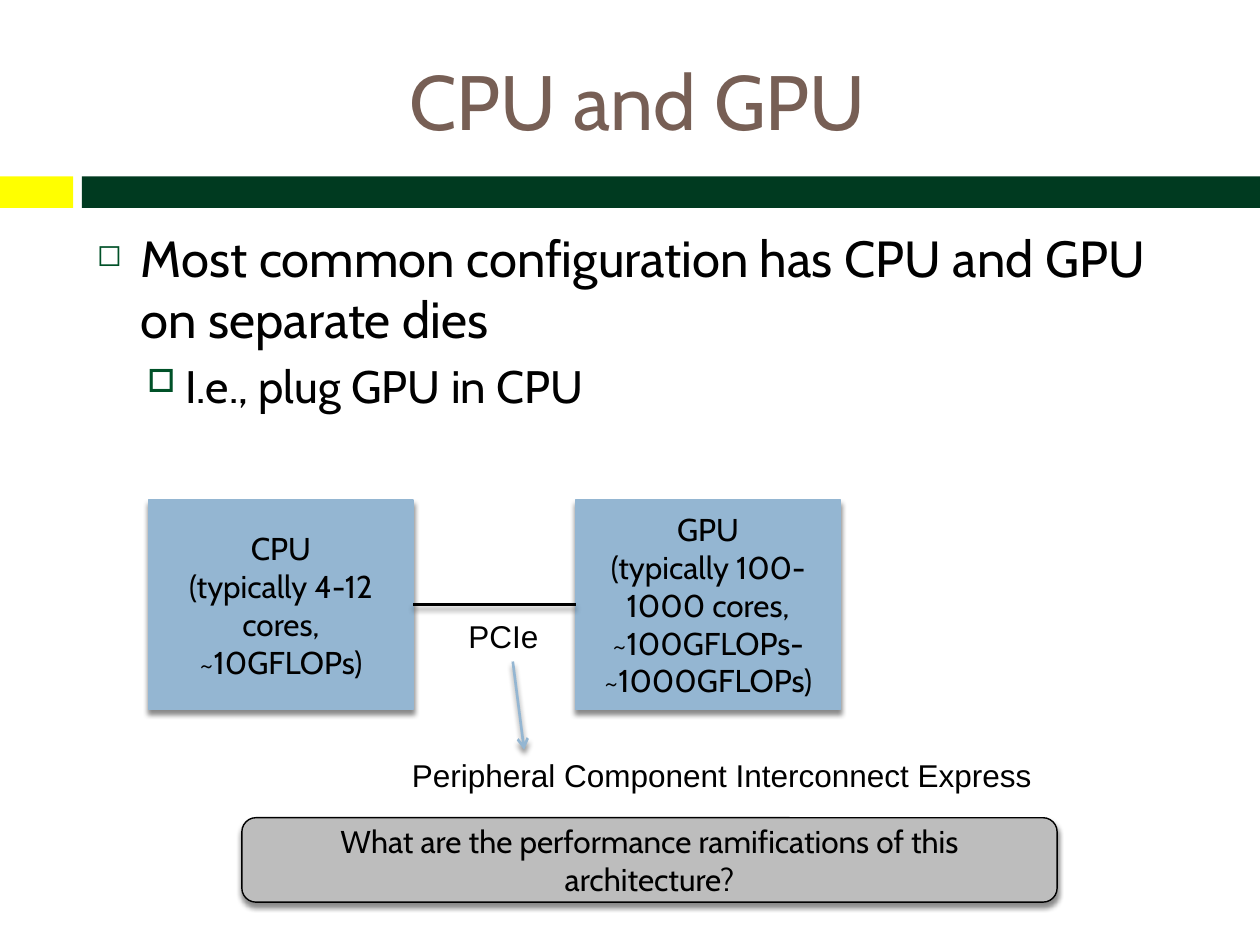
from dataclasses import dataclass

from lxml.etree import SubElement
from pptx import Presentation
from pptx.dml.color import RGBColor
from pptx.enum.shapes import MSO_CONNECTOR, MSO_SHAPE
from pptx.enum.text import MSO_ANCHOR, PP_ALIGN
from pptx.oxml.ns import qn
from pptx.util import Emu, Inches, Pt

COLORS = {
    "title": "775F55", "text": "000000", "bullet": "005128", "accent": "FFFF00",
    "band": "003A20", "box": "94B6D2", "question": "BDBDBD",
}
COLS, ROWS = 100, 75

prs = Presentation()
prs.slide_width, prs.slide_height = Inches(10), Inches(7.5)
s = prs.slides.add_slide(prs.slide_layouts[5])


@dataclass(frozen=True)
class Area:
    """A rectangle in grid columns and rows."""
    col: float
    row: float
    cols: float
    rows: float

    @property
    def emu(self) -> tuple:
        return x(self.col), y(self.row), x(self.cols), y(self.rows)

    @property
    def right(self) -> float:
        return self.col + self.cols

    @property
    def middle(self) -> float:
        return self.row + self.rows / 2


@dataclass(frozen=True)
class Processor:
    area: Area
    lines: tuple


@dataclass(frozen=True)
class Bullet:
    text: str
    level: int
    size: float
    char: str
    scale: int
    left: float
    hang: float
    before: float


def x(cols: float) -> Emu:
    return Emu(round(prs.slide_width * cols / COLS))


def y(rows: float) -> Emu:
    return Emu(round(prs.slide_height * rows / ROWS))


def rgb(name: str) -> RGBColor:
    return RGBColor.from_string(COLORS[name])


def add_shadow(sp) -> None:
    """Give a shape or connector a soft shadow straight below it."""
    effects = SubElement(sp._element.spPr, qn("a:effectLst"))
    outer = SubElement(effects, qn("a:outerShdw"), blurRad=str(Pt(3)),
                       dist=str(Pt(2.4)), dir="5400000", rotWithShape="0")
    color = SubElement(outer, qn("a:srgbClr"), val=COLORS["text"])
    SubElement(color, qn("a:alpha"), val="45000")


def write(p, text: str, *, size: float = 18, font: str = "Cabin",
          color: str = "text", align=PP_ALIGN.LEFT) -> None:
    p.alignment = align
    r = p.add_run()
    r.text = text
    r.font.size, r.font.name = Pt(size), font
    r.font.color.rgb = rgb(color)


def add_block(area: Area, fill: str, *, kind=MSO_SHAPE.RECTANGLE,
              line: str = "", lines: tuple = ()) -> None:
    """Draw a filled shape; outlined ones also cast a shadow."""
    sp = s.shapes.add_shape(kind, *area.emu)
    sp.fill.solid()
    sp.fill.fore_color.rgb = rgb(fill)
    if line:
        sp.line.color.rgb = rgb(line)
        sp.line.width = Pt(0.79)
        add_shadow(sp)
    else:
        sp.line.fill.background()
        sp.shadow.inherit = False
    tf = sp.text_frame
    tf.word_wrap = True
    tf.vertical_anchor = MSO_ANCHOR.MIDDLE
    for i, text in enumerate(lines):
        p = tf.add_paragraph() if i else tf.paragraphs[0]
        write(p, text, align=PP_ALIGN.CENTER)


def add_line(start: tuple, end: tuple, color: str, arrow: bool = False) -> None:
    c = s.shapes.add_connector(MSO_CONNECTOR.STRAIGHT, x(start[0]), y(start[1]),
                               x(end[0]), y(end[1]))
    c.line.color.rgb = rgb(color)
    c.line.width = Pt(1.5)
    if arrow:
        SubElement(c.line._get_or_add_ln(), qn("a:tailEnd"), type="arrow")
    add_shadow(c)


def add_label(area: Area, text: str) -> None:
    tf = s.shapes.add_textbox(*area.emu).text_frame
    tf.word_wrap = False
    write(tf.paragraphs[0], text, font="Arial")


def add_bullets(area: Area, bullets: list) -> None:
    tf = s.shapes.add_textbox(*area.emu).text_frame
    tf.word_wrap = True
    for i, b in enumerate(bullets):
        p = tf.add_paragraph() if i else tf.paragraphs[0]
        p.level = b.level
        p.space_before = Pt(b.before)
        pPr = p._p.get_or_add_pPr()
        pPr.set("marL", str(x(b.left)))
        pPr.set("indent", str(-x(b.hang)))
        color = SubElement(pPr, qn("a:buClr"))
        SubElement(color, qn("a:srgbClr"), val=COLORS["bullet"])
        SubElement(pPr, qn("a:buSzPct"), val=str(b.scale * 1000))
        SubElement(pPr, qn("a:buChar"), char=b.char)
        write(p, b.text, size=b.size)


def add_title(area: Area, text: str) -> None:
    title = s.shapes.title
    title.left, title.top, title.width, title.height = area.emu
    tf = title.text_frame
    tf.word_wrap = True
    tf.vertical_anchor = MSO_ANCHOR.MIDDLE
    write(tf.paragraphs[0], text, size=44, color="title", align=PP_ALIGN.CENTER)


def main() -> None:
    add_block(Area(0, 14, 5.8, 2.5), "accent")
    add_block(Area(6.5, 14, 93.5, 2.5), "band")
    add_title(Area(6.7, 2.5, 89.2, 10.8), "CPU and GPU ")
    add_bullets(Area(6.7, 17.5, 89.2, 49.2), [
        Bullet("Most common configuration has CPU and GPU on separate dies",
               0, 29, "◻", 60, 3.5, 3.5, 0),
        Bullet("I.e., plug GPU in CPU", 1, 26, "□", 70, 7, 3, 5.5),
    ])

    cpu = Processor(Area(11.8, 39.7, 21, 16.6),
                    ("CPU", "(typically 4-12 cores, ~10GFLOPs)"))
    gpu = Processor(Area(45.7, 39.7, 21, 16.6),
                    ("GPU", "(typically 100-1000 cores, ~100GFLOPs-~1000GFLOPs)"))
    for unit in (cpu, gpu):
        add_block(unit.area, "box", line="box", lines=unit.lines)
    add_line((cpu.area.right, cpu.area.middle), (gpu.area.col, gpu.area.middle), "text")

    add_label(Area(36.2, 48.5, 7.6, 4), "PCIe")
    add_label(Area(31.7, 59.5, 52.3, 4), "Peripheral Component Interconnect Express")
    add_line((40.7, 52.5), (41.6, 59.5), "box", arrow=True)
    add_block(Area(19.2, 64.9, 64.7, 6.7), "question",
              kind=MSO_SHAPE.ROUNDED_RECTANGLE, line="text",
              lines=("What are the performance ramifications of this architecture?",))
    prs.save("out.pptx")


if __name__ == "__main__":
    main()
